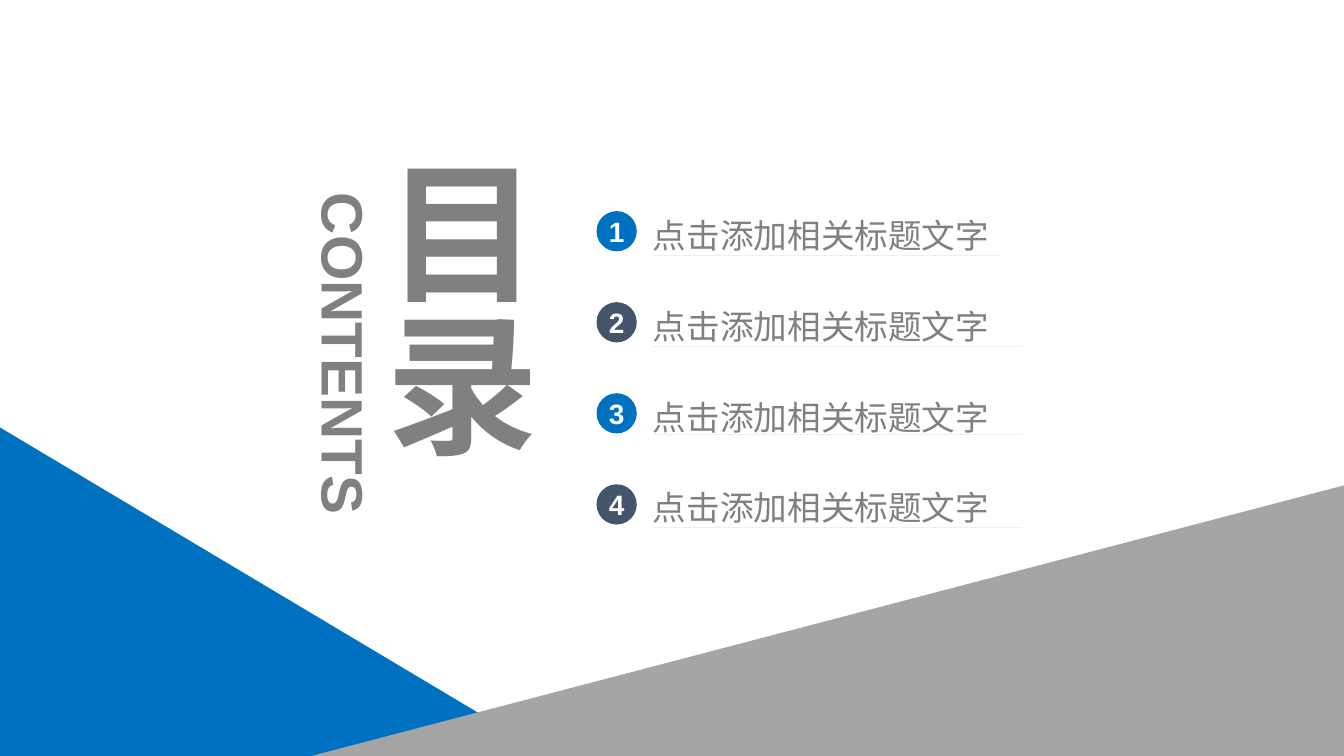
from dataclasses import dataclass

from pptx import Presentation
from pptx.dml.color import RGBColor
from pptx.enum.shapes import MSO_SHAPE
from pptx.enum.text import MSO_ANCHOR, MSO_AUTO_SIZE, PP_ALIGN
from pptx.shapes.autoshape import Shape
from pptx.slide import Slide
from pptx.util import Cm, Pt

BLUE = RGBColor(0x00, 0x70, 0xC0)
SLATE = RGBColor(0x44, 0x54, 0x6A)
GRAY = RGBColor(0x80, 0x80, 0x80)
LIGHT_GRAY = RGBColor(0xA5, 0xA5, 0xA5)
WHITE = RGBColor(0xFF, 0xFF, 0xFF)

FONT = "Arial"
SLIDE_WIDTH, SLIDE_HEIGHT = 35.71, 20.09

# Agenda grid, in centimetres
BADGE_LEFT, BADGE_TOP, BADGE_SIZE = 15.85, 5.61, 1.07
ROW_PITCH = 2.42
ENTRY_LEFT = 17.35


@dataclass(frozen=True)
class Entry:
    title: str
    top: float
    height: float
    width: float


@dataclass(frozen=True)
class Wedge:
    corners: tuple[tuple[float, float], ...]
    color: RGBColor


ENTRIES = (
    Entry("点击添加相关标题文字", 5.38, 1.4, 9.25),
    Entry("点击添加相关标题文字", 7.8, 1.4, 9.8),
    Entry("点击添加相关标题文字", 10.29, 1.27, 9.8),
    Entry("点击添加相关标题文字", 12.62, 1.4, 9.8),
)

WEDGES = (
    Wedge(((0, 11.36), (14.63, SLIDE_HEIGHT), (0, SLIDE_HEIGHT)), BLUE),
    Wedge(((SLIDE_WIDTH, 12.9), (SLIDE_WIDTH, SLIDE_HEIGHT), (8.28, SLIDE_HEIGHT)), LIGHT_GRAY),
)


def paint(shape: Shape, color: RGBColor) -> None:
    shape.shadow.inherit = False
    shape.fill.solid()
    shape.fill.fore_color.rgb = color
    shape.line.fill.background()


def write(shape: Shape, text: str, size: float, color: RGBColor, bold: bool = True,
          align: PP_ALIGN = PP_ALIGN.CENTER, anchor: MSO_ANCHOR = MSO_ANCHOR.MIDDLE,
          grow: bool = True, line_spacing: float = 1.0) -> None:
    frame = shape.text_frame
    frame.margin_left = frame.margin_top = frame.margin_right = frame.margin_bottom = 0
    frame.word_wrap = True
    frame.vertical_anchor = anchor
    frame.auto_size = MSO_AUTO_SIZE.SHAPE_TO_FIT_TEXT if grow else MSO_AUTO_SIZE.NONE
    paragraph = frame.paragraphs[0]
    paragraph.alignment = align
    paragraph.line_spacing = line_spacing
    run = paragraph.add_run()
    run.text = text
    run.font.name = FONT
    run.font.size = Pt(size)
    run.font.bold = bold
    run.font.color.rgb = color


def add_headings(slide: Slide) -> None:
    heading = slide.shapes.add_textbox(Cm(9.7), Cm(4.14), Cm(4.93), Cm(10.54))
    write(heading, "目录", 115, GRAY)
    heading.element.txBody.bodyPr.set("vert", "eaVert")

    subheading = slide.shapes.add_textbox(Cm(4.57), Cm(8.46), Cm(9.17), Cm(1.88))
    subheading.rotation = 90
    write(subheading, "CONTENTS", 44, GRAY, anchor=MSO_ANCHOR.TOP)


def add_badge(slide: Slide, index: int) -> None:
    badge = slide.shapes.add_shape(
        MSO_SHAPE.OVAL, Cm(BADGE_LEFT), Cm(BADGE_TOP + index * ROW_PITCH),
        Cm(BADGE_SIZE), Cm(BADGE_SIZE))
    paint(badge, SLATE if index % 2 else BLUE)
    write(badge, str(index + 1), 21.1, WHITE, grow=False)


def add_entry(slide: Slide, entry: Entry) -> None:
    # A flat underline, plus a point at the top that gives the text its height
    left, right = Cm(ENTRY_LEFT), Cm(ENTRY_LEFT + entry.width)
    top, bottom = Cm(entry.top), Cm(entry.top + entry.height)
    builder = slide.shapes.build_freeform(left, bottom)
    builder.add_line_segments([(right, bottom), (left, bottom)])
    builder.move_to(left, top)
    builder.add_line_segments([(left, top)])
    shape = builder.convert_to_shape()
    paint(shape, GRAY)
    write(shape, entry.title, 25.3, GRAY, bold=False, align=PP_ALIGN.LEFT, line_spacing=1.3)


def add_wedge(slide: Slide, wedge: Wedge) -> None:
    first, *others = [(Cm(x), Cm(y)) for x, y in wedge.corners]
    builder = slide.shapes.build_freeform(*first)
    builder.add_line_segments(others)
    paint(builder.convert_to_shape(), wedge.color)


def main() -> None:
    presentation = Presentation()
    presentation.slide_width = Cm(SLIDE_WIDTH)
    presentation.slide_height = Cm(SLIDE_HEIGHT)
    slide = presentation.slides.add_slide(presentation.slide_layouts[6])

    # Headings
    add_headings(slide)

    # Numbered agenda
    for index, entry in enumerate(ENTRIES):
        add_badge(slide, index)
        add_entry(slide, entry)

    # Corner wedges
    for wedge in WEDGES:
        add_wedge(slide, wedge)

    presentation.save("out.pptx")


if __name__ == "__main__":
    main()
